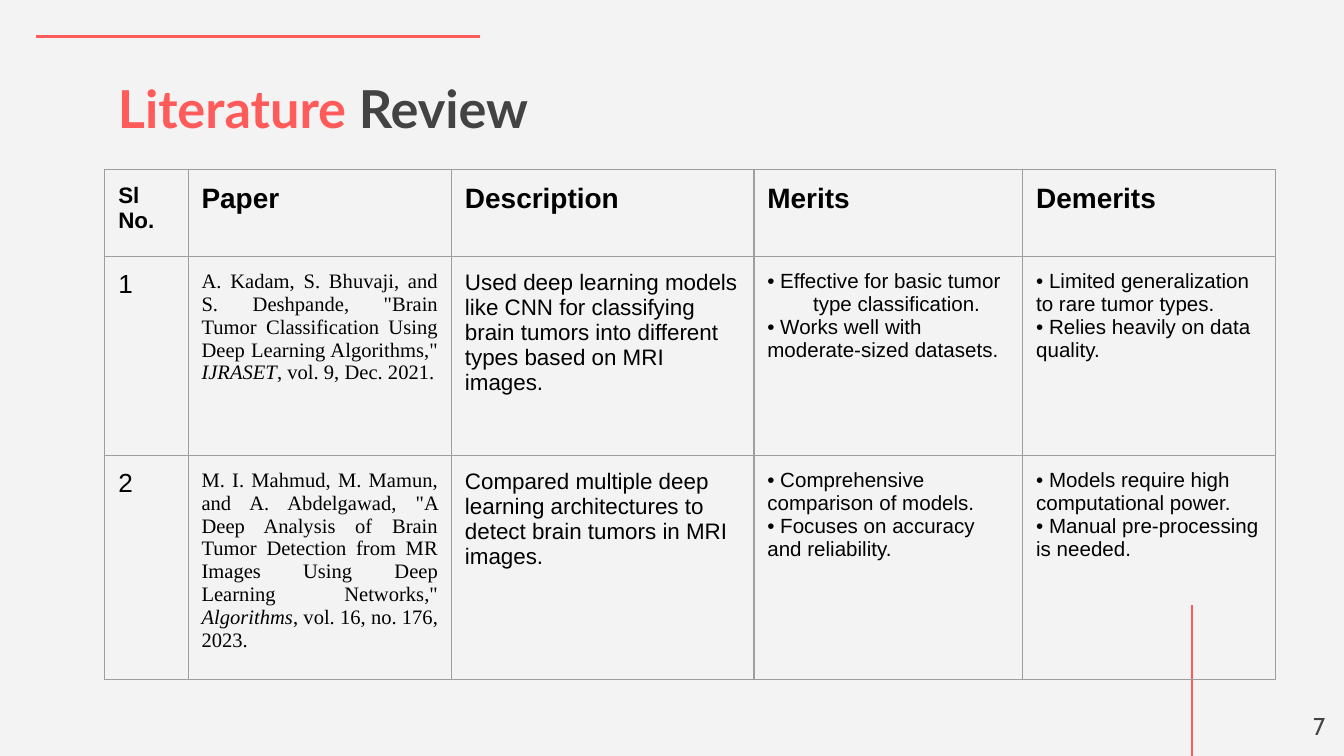
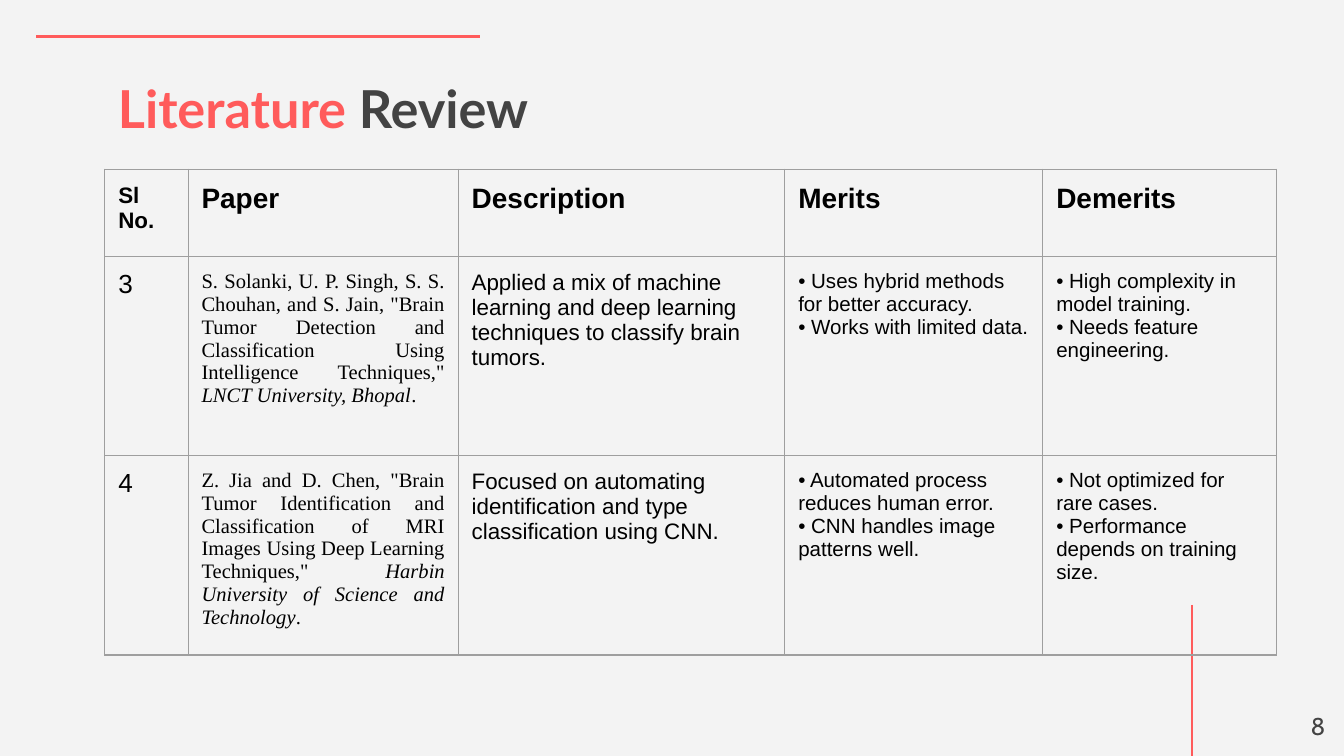
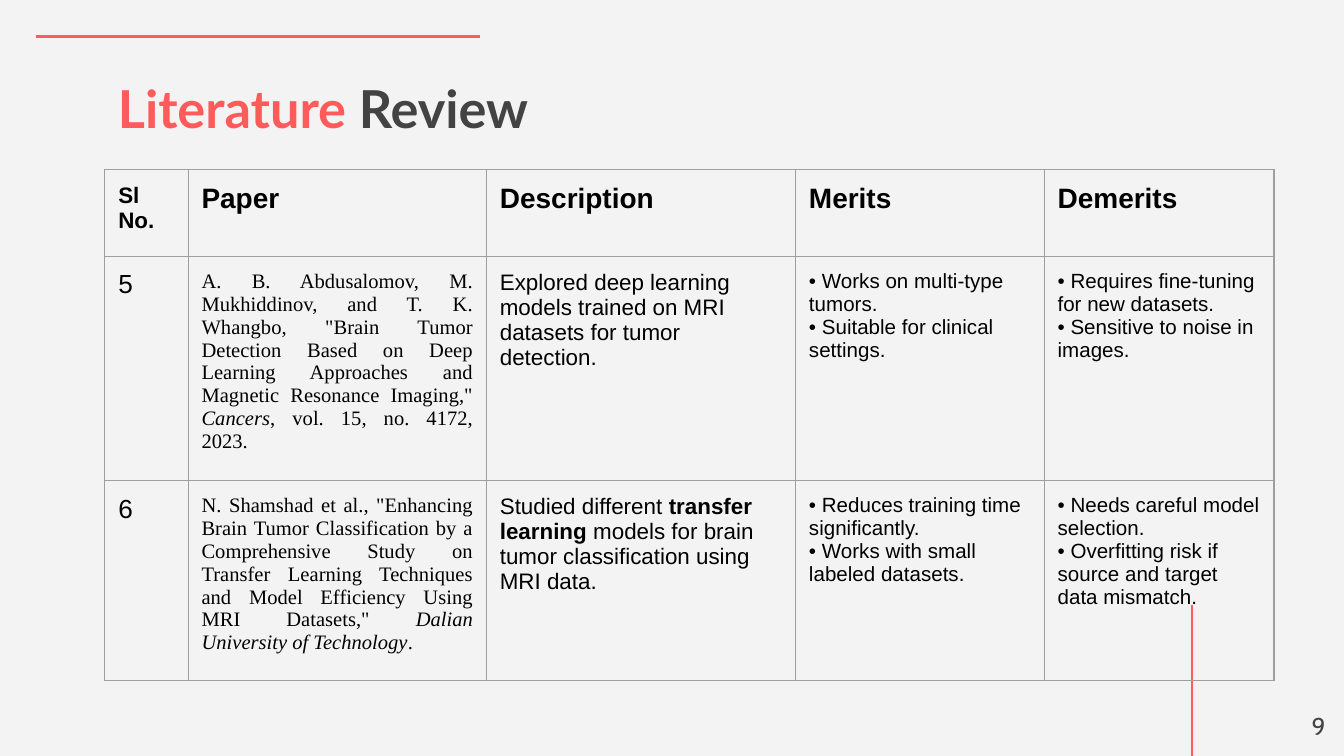
from dataclasses import dataclass

from lxml import etree
from pptx import Presentation
from pptx.dml.color import RGBColor
from pptx.enum.shapes import MSO_CONNECTOR
from pptx.enum.text import MSO_ANCHOR, PP_ALIGN
from pptx.oxml.ns import qn
from pptx.util import Inches, Pt

STRAIGHT = MSO_CONNECTOR.STRAIGHT
TOP = MSO_ANCHOR.TOP
RIGHT = PP_ALIGN.RIGHT
JUSTIFY = PP_ALIGN.JUSTIFY

CORAL = RGBColor(0xFF, 0x5B, 0x5B)
CHARCOAL = RGBColor(0x43, 0x43, 0x43)
BLACK = RGBColor(0x00, 0x00, 0x00)
BACKGROUND = RGBColor(0xF3, 0xF3, 0xF3)
BORDER = RGBColor(0x9E, 0x9E, 0x9E)

SLIDE_WIDTH = 10
SLIDE_HEIGHT = SLIDE_WIDTH * 9 / 16
INSET = Inches(0.1)
MARGINS = {
    "margin_left": INSET,
    "margin_right": INSET,
    "margin_top": INSET,
    "margin_bottom": INSET,
    "vertical_anchor": TOP,
}
TITLE_FONT = {"name": "Lato", "size": Pt(28), "bold": True}
NUMBER_FONT = {"name": "Cabin", "size": Pt(13), "bold": False}
NARROW_HEADER_FONT = {"name": "Arial", "size": Pt(12), "bold": True}
HEADER_FONT = {**NARROW_HEADER_FONT, "size": Pt(15)}
SERIAL_FONT = {"name": "Arial", "size": Pt(14), "bold": False}
DESCRIPTION_FONT = {**SERIAL_FONT, "size": Pt(12)}
POINT_FONT = {**SERIAL_FONT, "size": Pt(11)}
CITATION_FONT = {**POINT_FONT, "name": "Times New Roman"}
CITATION_PARAGRAPH = {"alignment": JUSTIFY, "space_before": Pt(12)}

HEADERS = ["Sl No.", "Paper", "Description", "Merits", "Demerits"]
ROW_HEIGHTS = [0.65, 1.48, 1.48]
FIRST_PAGE = 7
PAPERS_PER_SLIDE = 2


@dataclass
class Paper:
    citation: list
    description: list
    merits: list
    demerits: list
    hanging_indent: float = 0


COLUMN_WIDTHS = [
    [0.62, 1.96, 2.25, 2, 1.88],
    [0.62, 2.01, 2.43, 1.92, 1.74],
    [0.62, 2.22, 2.3, 1.85, 1.71],
]

PAPERS = [
    Paper(
        ['A. Kadam, S. Bhuvaji, and S. Deshpande, "Brain Tumor Classification '
         'Using Deep Learning Algorithms," ', "IJRASET", ", vol. 9, Dec. 2021."],
        ["Used deep learning models like CNN for classifying brain tumors into "
         "different types based on MRI images."],
        ["Effective for basic tumor type classification.",
         "Works well with moderate-sized datasets."],
        ["Limited generalization to rare tumor types.",
         "Relies heavily on data quality."],
        hanging_indent=0.34,
    ),
    Paper(
        ['M. I. Mahmud, M. Mamun, and A. Abdelgawad, "A Deep Analysis of Brain '
         'Tumor Detection from MR Images Using Deep Learning Networks," ',
         "Algorithms", ", vol. 16, no. 176, 2023."],
        ["Compared multiple deep learning architectures to detect brain tumors "
         "in MRI images."],
        ["Comprehensive comparison of models.",
         "Focuses on accuracy and reliability."],
        ["Models require high computational power.",
         "Manual pre-processing is needed."],
    ),
    Paper(
        ['S. Solanki, U. P. Singh, S. S. Chouhan, and S. Jain, "Brain Tumor '
         'Detection and Classification Using Intelligence Techniques," ',
         "LNCT University, Bhopal", "."],
        ["Applied a mix of machine learning and deep learning techniques to "
         "classify brain tumors."],
        ["Uses hybrid methods for better accuracy.", "Works with limited data."],
        ["High complexity in model training.", "Needs feature engineering."],
    ),
    Paper(
        ['Z. Jia and D. Chen, "Brain Tumor Identification and Classification of '
         'MRI Images Using Deep Learning Techniques," ',
         "Harbin University of Science and Technology", "."],
        ["Focused on automating identification and type classification using CNN."],
        ["Automated process reduces human error.",
         "CNN handles image patterns well."],
        ["Not optimized for rare cases.", "Performance depends on training size."],
    ),
    Paper(
        ['A. B. Abdusalomov, M. Mukhiddinov, and T. K. Whangbo, "Brain Tumor '
         'Detection Based on Deep Learning Approaches and Magnetic Resonance '
         'Imaging," ', "Cancers", ", vol. 15, no. 4172, 2023."],
        ["Explored deep learning models trained on MRI datasets for tumor "
         "detection."],
        ["Works on multi-type tumors.", "Suitable for clinical settings."],
        ["Requires fine-tuning for new datasets.",
         "Sensitive to noise in images."],
    ),
    Paper(
        ['N. Shamshad et al., "Enhancing Brain Tumor Classification by a '
         'Comprehensive Study on Transfer Learning Techniques and Model '
         'Efficiency Using MRI Datasets," ', "Dalian University of Technology", "."],
        ["Studied different ", "transfer learning",
         " models for brain tumor classification using MRI data."],
        ["Reduces training time significantly.",
         "Works with small labeled datasets."],
        ["Needs careful model selection.",
         "Overfitting risk if source and target data mismatch."],
    ),
]


def apply_format(target, values):
    for name, value in values.items():
        setattr(target, name, value)


def add_run(paragraph, text, font, color):
    run = paragraph.add_run()
    run.text = text
    apply_format(run.font, font)
    run.font.color.rgb = color


def add_emphasis_runs(paragraph, parts, font, emphasis):
    for index, text in enumerate(parts):
        emphasised = {emphasis: True} if index == 1 else {}
        add_run(paragraph, text, {**font, **emphasised}, BLACK)


def add_line(slide, start, end):
    line = slide.shapes.add_connector(STRAIGHT, *map(Inches, start + end))
    line.line.color.rgb = CORAL
    line.line.width = Pt(1.5)
    etree.SubElement(line._element.spPr, qn("a:effectLst"))


def add_text_box(slide, left, top, width, height):
    box = slide.shapes.add_textbox(*map(Inches, (left, top, width, height)))
    apply_format(box.text_frame, {**MARGINS, "word_wrap": True})
    return box.text_frame.paragraphs[0]


def add_title(slide):
    paragraph = add_text_box(slide, 0.78, 0.47, 8.44, 0.51)
    add_run(paragraph, "Literature ", TITLE_FONT, CORAL)
    add_run(paragraph, "Review", TITLE_FONT, CHARCOAL)


def add_page_number(slide, number):
    paragraph = add_text_box(slide, 9.36, 5.19, 0.6, 0.43)
    paragraph.alignment = RIGHT
    add_run(paragraph, str(number), NUMBER_FONT, CHARCOAL)


def format_cell(cell):
    apply_format(cell, MARGINS)
    cell.fill.background()
    properties = cell._tc.get_or_add_tcPr()
    for index, side in enumerate(("lnL", "lnR", "lnT", "lnB")):
        border = etree.Element(qn(f"a:{side}"), w=str(Pt(0.75)))
        fill = etree.SubElement(border, qn("a:solidFill"))
        etree.SubElement(fill, qn("a:srgbClr"), val=str(BORDER))
        properties.insert(index, border)


def fill_points(cell, points, hanging_indent=0):
    frame = cell.text_frame
    for index, point in enumerate(points):
        paragraph = frame.add_paragraph() if index else frame.paragraphs[0]
        add_run(paragraph, f"• {point}", POINT_FONT, BLACK)
    if hanging_indent:
        properties = frame.paragraphs[0]._p.get_or_add_pPr()
        properties.set("marL", str(Inches(hanging_indent)))
        properties.set("indent", str(-Inches(hanging_indent)))


def fill_paper_row(cells, serial, paper):
    number, citation, description = (
        cell.text_frame.paragraphs[0] for cell in cells[:3]
    )
    add_run(number, str(serial), SERIAL_FONT, BLACK)
    apply_format(citation, CITATION_PARAGRAPH)
    add_emphasis_runs(citation, paper.citation, CITATION_FONT, "italic")
    add_emphasis_runs(description, paper.description, DESCRIPTION_FONT, "bold")
    fill_points(cells[3], paper.merits, paper.hanging_indent)
    fill_points(cells[4], paper.demerits)


def add_review_table(slide, widths, papers, first_serial):
    frame = slide.shapes.add_table(
        len(ROW_HEIGHTS), len(HEADERS), Inches(0.78), Inches(1.26),
        Inches(sum(widths)), Inches(sum(ROW_HEIGHTS)),
    )
    table = frame.table
    apply_format(table, {"first_row": False, "horz_banding": False})
    for column, width in zip(table.columns, widths):
        column.width = Inches(width)
    for row, height in zip(table.rows, ROW_HEIGHTS):
        row.height = Inches(height)
    for cell in table.iter_cells():
        format_cell(cell)
    for index, header in enumerate(HEADERS):
        font = HEADER_FONT if index else NARROW_HEADER_FONT
        paragraph = table.cell(0, index).text_frame.paragraphs[0]
        add_run(paragraph, header, font, BLACK)
    for index, paper in enumerate(papers):
        cells = list(table.rows[index + 1].cells)
        fill_paper_row(cells, first_serial + index, paper)


def add_review_slide(presentation, index, widths):
    slide = presentation.slides.add_slide(presentation.slide_layouts[6])
    first = index * PAPERS_PER_SLIDE
    add_line(slide, (0.27, 0.27), (3.57, 0.27))
    add_line(slide, (8.87, 4.5), (8.87, SLIDE_HEIGHT))
    add_title(slide)
    add_review_table(
        slide, widths, PAPERS[first:first + PAPERS_PER_SLIDE], first + 1
    )
    add_page_number(slide, FIRST_PAGE + index)


def main():
    presentation = Presentation()
    presentation.slide_width = Inches(SLIDE_WIDTH)
    presentation.slide_height = Inches(SLIDE_HEIGHT)
    background = presentation.slide_master.background.fill
    background.solid()
    background.fore_color.rgb = BACKGROUND
    for index, widths in enumerate(COLUMN_WIDTHS):
        add_review_slide(presentation, index, widths)
    presentation.save("out.pptx")


if __name__ == "__main__":
    main()
